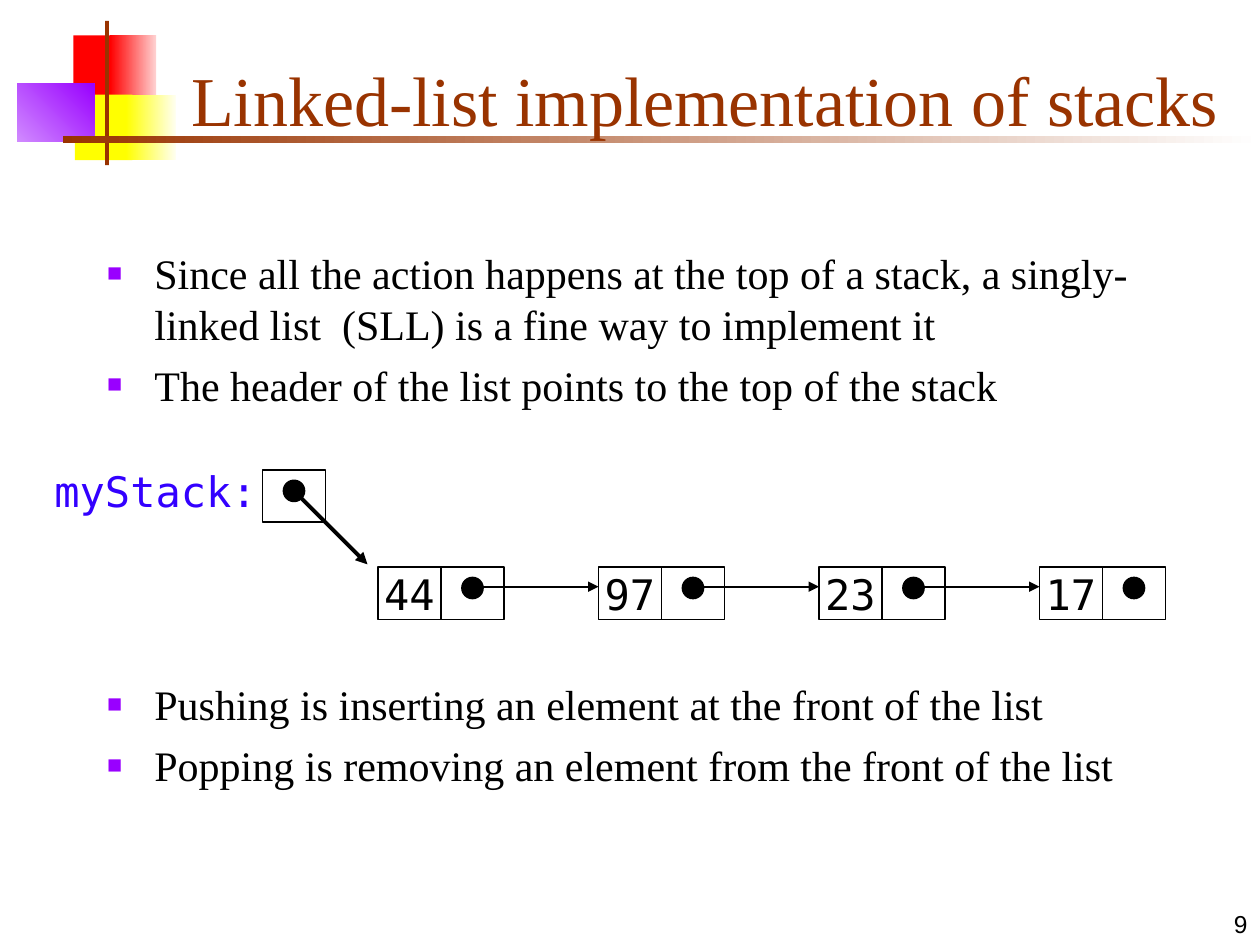
from dataclasses import dataclass
from typing import Optional

import lxml.etree
import pptx
import pptx.dml.color
import pptx.enum.shapes
import pptx.enum.text
import pptx.oxml.ns
import pptx.util

EMU_PER_PX = 9525  # 96 px to the inch
COLORS = {
    "red": "FF0000", "pale red": "FFD1D1",
    "yellow": "FFFF00", "pale yellow": "FFFFF0",
    "purple": "9900FF", "pale purple": "D18BFF",
    "brown": "993300", "white": "FFFFFF", "black": "000000", "blue": "3300FF",
}
SERIF, MONO, SANS = "Times New Roman", "DejaVu Sans Mono", "Arial"
SHAPE = pptx.enum.shapes.MSO_SHAPE
ALIGN = pptx.enum.text.PP_ALIGN
ANCHOR = pptx.enum.text.MSO_ANCHOR

# Linked-list geometry
CELL_W, CELL_H, DOT = 48, 40, 16
LIST_X, LIST_Y, NODE_STEP = 288, 432, 168
LINK_Y = LIST_Y + 15


@dataclass
class Box:
    x: int
    y: int
    w: int
    h: int


@dataclass
class Block:
    box: Box
    color: str
    fade: Optional[str] = None
    angle: int = 0


@dataclass
class Style:
    font: str
    size: int
    color: str
    align: ALIGN = ALIGN.LEFT


BLOCKS = [
    Block(Box(56, 27, 34, 50), "red"),
    Block(Box(84, 27, 35, 50), "red", "pale red"),
    Block(Box(57, 72, 44, 50), "yellow"),
    Block(Box(96, 72, 38, 50), "yellow", "pale yellow"),
    Block(Box(13, 64, 59, 44), "pale purple", "purple", 45),
    Block(Box(80, 16, 3, 110), "brown"),
    Block(Box(48, 104, 912, 5), "brown", "white"),
]


def px(length: int) -> pptx.util.Emu:
    return pptx.util.Emu(length * EMU_PER_PX)


def rgb(name: str) -> pptx.dml.color.RGBColor:
    return pptx.dml.color.RGBColor.from_string(COLORS[name])


def extent(box: Box) -> list:
    return [px(box.x), px(box.y), px(box.w), px(box.h)]


def place(holder, box: Box) -> None:
    holder.left, holder.top, holder.width, holder.height = extent(box)


def add_xml(parent, tag: str, **attributes: str):
    return lxml.etree.SubElement(parent, pptx.oxml.ns.qn(tag), attributes)


def write(shape, text: str, style: Style, anchor: ANCHOR, wrap: bool = True) -> None:
    frame = shape.text_frame
    frame.text = text
    frame.word_wrap = wrap
    frame.auto_size = pptx.enum.text.MSO_AUTO_SIZE.NONE
    frame.vertical_anchor = anchor
    for paragraph in frame.paragraphs:
        paragraph.alignment = style.align
        for run in paragraph.runs:
            run.font.name = style.font
            run.font.size = pptx.util.Pt(style.size)
            run.font.color.rgb = rgb(style.color)


def write_bullets(holder, box: Box, items: list[str]) -> None:
    place(holder, box)
    write(holder, "\n".join(items), Style(SERIF, 24, "black"), ANCHOR.TOP)
    for index, paragraph in enumerate(holder.text_frame.paragraphs):
        paragraph.space_before = pptx.util.Pt(6 if index else 0)
        properties = paragraph._p.get_or_add_pPr()
        properties.set("marL", str(px(36)))
        properties.set("indent", str(-px(36)))
        bullet_color = add_xml(properties, "a:buClr")
        add_xml(bullet_color, "a:srgbClr", val=COLORS["purple"])
        add_xml(properties, "a:buSzPct", val="60000")
        add_xml(properties, "a:buChar", char="■")


def draw_block(shapes, block: Block) -> None:
    shape = shapes.add_shape(SHAPE.RECTANGLE, *extent(block.box))
    shape.shadow.inherit = False
    shape.line.fill.background()
    if block.fade is None:
        shape.fill.solid()
        shape.fill.fore_color.rgb = rgb(block.color)
        return
    shape.fill.gradient()
    shape.fill.gradient_angle = block.angle
    for stop, color in zip(shape.fill.gradient_stops, (block.color, block.fade)):
        stop.color.rgb = rgb(color)


def draw_outlined(shapes, kind: SHAPE, box: Box, filled: bool = False):
    shape = shapes.add_shape(kind, *extent(box))
    shape.shadow.inherit = False
    if filled:
        shape.fill.solid()
        shape.fill.fore_color.rgb = rgb("black")
    else:
        shape.fill.background()
    shape.line.color.rgb = rgb("black")
    shape.line.width = pptx.util.Pt(1)
    return shape


def draw_pointer(shapes, x: int, y: int) -> None:
    """A cell with its top left corner at x, y and a dot inside."""
    draw_outlined(shapes, SHAPE.RECTANGLE, Box(x, y, CELL_W, CELL_H))
    dot = Box(x + (CELL_W - DOT) // 2, y + 8, DOT, DOT)
    draw_outlined(shapes, SHAPE.OVAL, dot, filled=True)


def draw_arrow(shapes, x1: int, y1: int, x2: int, y2: int, width: float) -> None:
    arrow = shapes.add_connector(
        pptx.enum.shapes.MSO_CONNECTOR.STRAIGHT, px(x1), px(y1), px(x2), px(y2))
    arrow.line.color.rgb = rgb("black")
    arrow.line.width = pptx.util.Pt(width)
    add_xml(arrow.line._get_or_add_ln(), "a:tailEnd", type="triangle")
    add_xml(arrow._element.spPr, "a:effectLst")


def draw_list(shapes, values: list[str]) -> None:
    for index, value in enumerate(values):
        x = LIST_X + index * NODE_STEP
        cell = draw_outlined(shapes, SHAPE.RECTANGLE, Box(x, LIST_Y, CELL_W, CELL_H))
        write(cell, value, Style(MONO, 24, "black", ALIGN.CENTER), ANCHOR.MIDDLE, wrap=False)
        draw_pointer(shapes, x + CELL_W, LIST_Y)
        if index < len(values) - 1:
            draw_arrow(shapes, x + CELL_W * 3 // 2, LINK_Y, x + NODE_STEP, LINK_Y, 1)


def main() -> None:
    deck = pptx.Presentation()
    deck.slide_width, deck.slide_height = px(960), px(720)
    slide = deck.slides.add_slide(deck.slide_layouts[3])
    shapes = slide.shapes
    title, stack_points, operation_points = slide.placeholders

    # Corner decoration, kept behind the text
    for block in BLOCKS:
        draw_block(shapes, block)
    for holder in (title, stack_points, operation_points):
        shapes._spTree.append(holder._element)

    # Title and lists
    place(title, Box(136, 24, 816, 88))
    write(title, "Linked-list implementation of stacks", Style(SERIF, 40, "brown"), ANCHOR.BOTTOM)
    write_bullets(stack_points, Box(72, 184, 848, 136), [
        "Since all the action happens at the top of a stack, a singly-linked list  (SLL) "
        "is a fine way to implement it",
        "The header of the list points to the top of the stack",
    ])
    write_bullets(operation_points, Box(72, 512, 816, 168), [
        "Pushing is inserting an element at the front of the list",
        "Popping is removing an element from the front of the list",
    ])

    # Stack header and its linked list
    draw_list(shapes, ["44", "97", "23", "17"])
    draw_pointer(shapes, 200, 358)
    draw_arrow(shapes, 224, 374, 280, 430, 2.25)
    stack_name = shapes.add_textbox(*extent(Box(32, 350, 176, 48)))
    write(stack_name, "myStack:", Style(MONO, 24, "blue"), ANCHOR.TOP)

    # Page number
    page_number = shapes.add_textbox(*extent(Box(760, 672, 200, 48)))
    write(page_number, "9", Style(SANS, 14, "black", ALIGN.RIGHT), ANCHOR.BOTTOM)

    deck.save("out.pptx")


if __name__ == "__main__":
    main()
